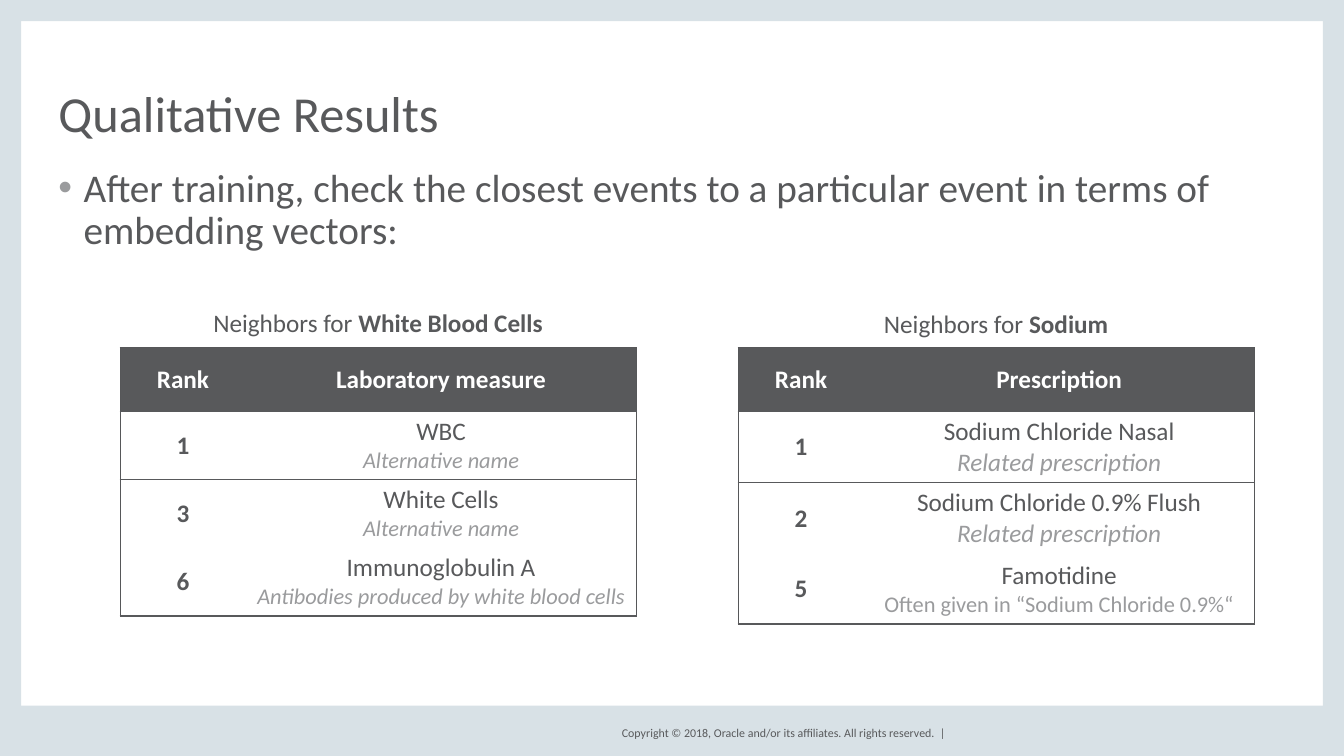
import pptx
import pptx.dml.color
import pptx.enum.shapes
import pptx.enum.text
import pptx.oxml
import pptx.oxml.ns
import pptx.util

# Content
TITLE = "Qualitative Results"
BULLET = ("After training, check the closest events to a particular event "
          "in terms of embedding vectors:")
COPYRIGHT = "Copyright © 2018, Oracle and/or its affiliates. All rights reserved.  |"
# Each neighbor row: rank, event, remark, remark style
NEIGHBOR_TABLES = [
    {"event": "White Blood Cells", "header": ("Rank", "Laboratory measure"),
     "row_height": 0.67, "caption_top": 3.08,
     "rows": [("1", "WBC", "Alternative name", "small_italic"),
              ("3", "White Cells", "Alternative name", "small_italic"),
              ("6", "Immunoglobulin A", "Antibodies produced by white blood cells",
               "small_italic")]},
    {"event": "Sodium", "header": ("Rank", "Prescription"),
     "row_height": 0.69, "caption_top": 3.09,
     "rows": [("1", "Sodium Chloride Nasal", "Related prescription", "italic"),
              ("2", "Sodium Chloride 0.9% Flush", "Related prescription", "italic"),
              ("5", "Famotidine", "Often given in “Sodium Chloride 0.9%“", "small")]},
]

# Theme: colours and type sizes
THEME = {
    "font": "Calibri",
    "ink": "58595B", "edge": "565759", "muted": "9A9B9D",
    "frame": "D8E1E6", "white": "FFFFFF",
    "styles": {
        "title": {"size": 36, "color": "ink"},
        "bullet": {"size": 28, "color": "ink"},
        "copyright": {"size": 8.5, "color": "ink"},
        "normal": {"size": 18, "color": "ink"},
        "strong": {"size": 18, "color": "ink", "bold": True},
        "header": {"size": 18, "color": "white", "bold": True},
        "italic": {"size": 18, "color": "muted", "italic": True},
        "small": {"size": 16, "color": "muted"},
        "small_italic": {"size": 16, "color": "muted", "italic": True},
    },
}

# Layout, in inches
WIDTH, HEIGHT = 13.33, 7.5
BORDER, FOOTER = 0.21, 0.5
MARGIN = 0.58
TEXT_WIDTH = WIDTH - 2 * MARGIN
TABLE_LEFT, TABLE_TOP, TABLE_STEP = 1.19, 3.45, 6.13
COLUMNS, HEADER_HEIGHT = (1.25, 3.87), 0.63
CAPTION_WIDTH, CAPTION_HEIGHT = 4.17, 0.27

ALIGN = pptx.enum.text.PP_ALIGN
ANCHOR = pptx.enum.text.MSO_ANCHOR


def inches(*lengths):
    return [pptx.util.Inches(length) for length in lengths]


def color(name):
    return pptx.dml.color.RGBColor.from_string(THEME[name])


def add_run(paragraph, text, style):
    run = paragraph.add_run()
    run.text = text
    values = dict(THEME["styles"][style], name=THEME["font"])
    run.font.color.rgb = color(values.pop("color"))
    values["size"] = pptx.util.Pt(values["size"])
    for attribute, value in values.items():
        setattr(run.font, attribute, value)


def set_up_frame(frame, runs, anchor=ANCHOR.TOP, **paragraph_format):
    settings = {"word_wrap": True, "vertical_anchor": anchor,
                "auto_size": pptx.enum.text.MSO_AUTO_SIZE.NONE,
                "margin_left": 0, "margin_top": 0,
                "margin_right": 0, "margin_bottom": 0}
    for attribute, value in settings.items():
        setattr(frame, attribute, value)
    paragraph = frame.paragraphs[0]
    for attribute, value in paragraph_format.items():
        setattr(paragraph, attribute, value)
    for text, style in runs:
        add_run(paragraph, text, style)
    return paragraph


def add_text(slide, box, runs, **options):
    shape = slide.shapes.add_textbox(*inches(*box))
    return set_up_frame(shape.text_frame, runs, **options)


def add_bullet(paragraph):
    properties = paragraph._p.get_or_add_pPr()
    properties.set("marL", str(pptx.util.Inches(0.25)))
    properties.set("indent", str(pptx.util.Inches(-0.25)))
    namespace = pptx.oxml.ns.nsdecls("a")
    for xml in (f'<a:buClr {namespace}><a:srgbClr val="{THEME["muted"]}"/></a:buClr>',
                f'<a:buFont {namespace} typeface="Arial"/>',
                f'<a:buChar {namespace} char="•"/>'):
        properties.append(pptx.oxml.parse_xml(xml))


def set_borders(cell, lines):
    """Draw the given sides as (colour, points); clear the others."""
    properties = cell._tc.get_or_add_tcPr()
    for side in "LRTB":
        name, points = lines.get(side, (None, 0))
        paint = (f'<a:solidFill><a:srgbClr val="{THEME[name]}"/></a:solidFill>'
                 if name else "<a:noFill/>")
        properties.append(pptx.oxml.parse_xml(
            f'<a:ln{side} {pptx.oxml.ns.nsdecls("a")} w="{pptx.util.Pt(points)}">'
            f"{paint}</a:ln{side}>"))


def add_neighbor_table(slide, left, content):
    rows = [[[(text, "header")] for text in content["header"]]]
    rows += [[[(rank, "strong")], [(event, "normal"), (remark, style)]]
             for rank, event, remark, style in content["rows"]]
    heights = [HEADER_HEIGHT] + [content["row_height"]] * len(content["rows"])
    table = slide.shapes.add_table(
        len(rows), len(COLUMNS),
        *inches(left, TABLE_TOP, sum(COLUMNS), sum(heights))).table
    table.first_row = table.horz_banding = False
    for column, width in zip(table.columns, COLUMNS):
        column.width = pptx.util.Inches(width)
    for row, height in zip(table.rows, heights):
        row.height = pptx.util.Inches(height)

    # Outline, plus rules under the header and the nearest neighbor
    thin, rule = ("edge", 0.75), ("ink", 1)
    ruled_rows = (0, 1, len(rows) - 1)
    for row_index, row in enumerate(rows):
        for column_index, runs in enumerate(row):
            cell = table.cell(row_index, column_index)
            lines = {"R" if column_index else "L": thin}
            if row_index == 0:
                lines["T"] = thin
            elif row_index - 1 in ruled_rows:
                lines["T"] = rule
            if row_index in ruled_rows:
                lines["B"] = rule
            set_borders(cell, lines)
            cell.fill.solid()
            cell.fill.fore_color.rgb = color("white" if row_index else "ink")
            cell.vertical_anchor = ANCHOR.MIDDLE
            paragraph = cell.text_frame.paragraphs[0]
            paragraph.alignment = ALIGN.CENTER
            for run_index, (text, style) in enumerate(runs):
                if run_index:
                    paragraph.add_line_break()
                add_run(paragraph, text, style)


def main():
    presentation = pptx.Presentation()
    presentation.slide_width, presentation.slide_height = inches(WIDTH, HEIGHT)
    slide = presentation.slides.add_slide(presentation.slide_layouts[5])

    # Frame around the slide
    for box in ((0, 0, BORDER, HEIGHT), (WIDTH - BORDER, 0, BORDER, HEIGHT),
                (0, HEIGHT - FOOTER, WIDTH, FOOTER), (0, 0, WIDTH, BORDER)):
        band = slide.shapes.add_shape(
            pptx.enum.shapes.MSO_SHAPE.RECTANGLE, *inches(*box))
        band.shadow.inherit = False
        band.fill.solid()
        band.fill.fore_color.rgb = color("frame")
        band.line.fill.background()
    add_text(slide, (5.88, 7.17, 3.5, 0.2), [(COPYRIGHT, "copyright")],
             anchor=ANCHOR.MIDDLE, alignment=ALIGN.RIGHT)

    # Title and bullet
    title = slide.shapes.title
    title.left, title.top, title.width, title.height = inches(
        MARGIN, 0.44, TEXT_WIDTH, 0.97)
    set_up_frame(title.text_frame, [(TITLE, "title")], anchor=ANCHOR.BOTTOM,
                 alignment=ALIGN.LEFT, line_spacing=0.8)
    add_bullet(add_text(slide, (MARGIN, 1.67, TEXT_WIDTH, 0.87),
                        [(BULLET, "bullet")], line_spacing=0.9))

    # Tables with centred captions
    for index, content in enumerate(NEIGHBOR_TABLES):
        left = TABLE_LEFT + index * TABLE_STEP
        add_neighbor_table(slide, left, content)
        caption_left = left + (sum(COLUMNS) - CAPTION_WIDTH) / 2
        add_text(slide, (caption_left, content["caption_top"],
                         CAPTION_WIDTH, CAPTION_HEIGHT),
                 [("Neighbors for ", "normal"), (content["event"], "strong")],
                 alignment=ALIGN.CENTER, line_spacing=0.9)

    presentation.save("out.pptx")


if __name__ == "__main__":
    main()
